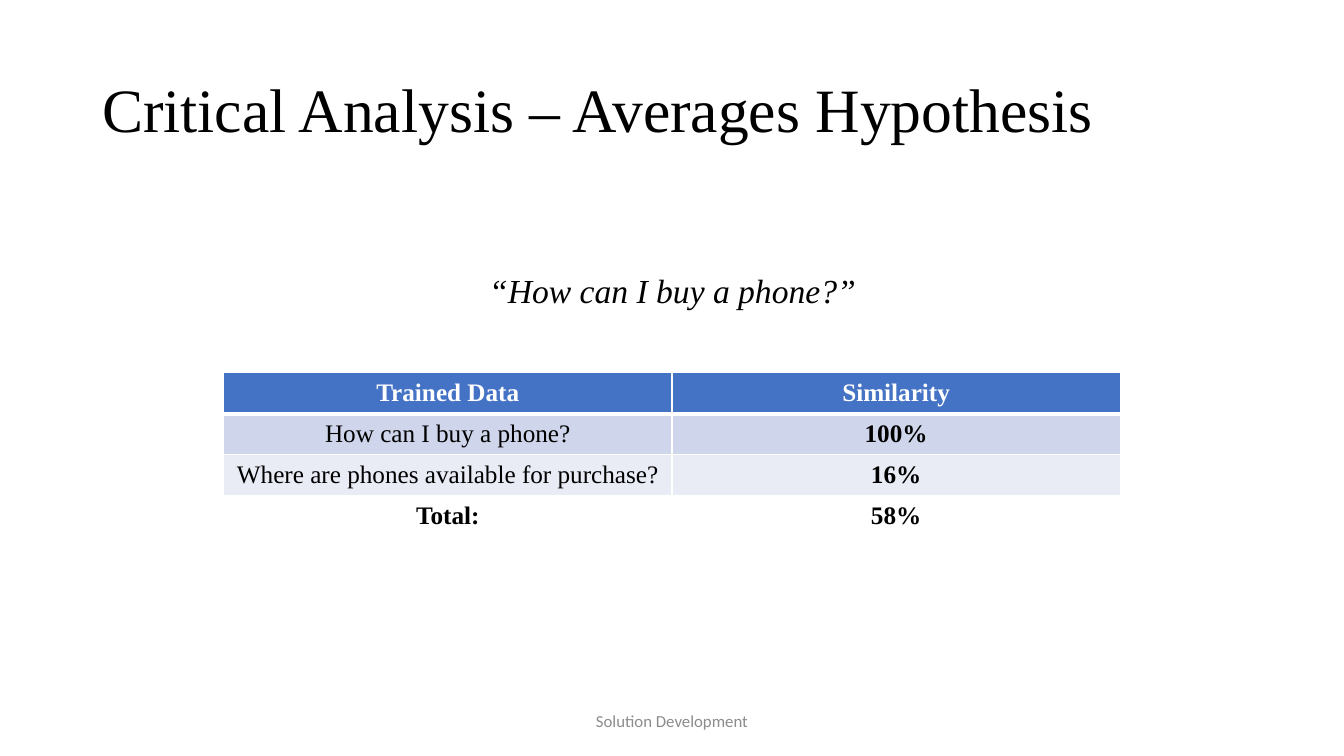
from dataclasses import dataclass
from typing import Any

from lxml.etree import SubElement as Sub
from pptx import Presentation
from pptx.dml.color import RGBColor as Rgb
from pptx.enum.text import MSO_ANCHOR as Anchor, PP_ALIGN as Align
from pptx.oxml.ns import qn
from pptx.util import Pt

SCALE = 9525
COLORS = {
    "ink": "000000",
    "paper": "FFFFFF",
    "gray": "8C8C8C",
    "head": "4472C4",
    "dark": "CFD5EA",
    "light": "E9EBF5",
}
SERIF = "Times New Roman"


@dataclass
class Label:
    text: str
    box: tuple[int, int, int, int]
    font: dict[str, Any]
    color: str
    para: dict[str, Any]
    anchor: Anchor


@dataclass
class Row:
    cells: tuple[str, str]
    bold: tuple[bool, bool]
    color: str
    fill: str
    top: int
    base: int


LABELS = [
    Label("Critical Analysis – Averages Hypothesis", (88, 38, 1104, 139),
          {"name": SERIF, "size": Pt(44)}, "ink",
          {"alignment": Align.LEFT, "line_spacing": 0.9}, Anchor.MIDDLE),
    Label("Solution Development", (424, 667, 432, 38),
          {"name": "Calibri", "size": Pt(12)}, "gray",
          {"alignment": Align.CENTER}, Anchor.MIDDLE),
    Label("“How can I buy a phone?”", (388, 252, 505, 48),
          {"name": SERIF, "size": Pt(24), "italic": True}, "ink",
          {"alignment": Align.CENTER}, Anchor.TOP),
]
ROWS = [
    Row(("Trained Data", "Similarity"), (True, True), "paper", "head", 1, 3),
    Row(("How can I buy a phone?", "100%"), (False, True), "ink", "dark", 3, 1),
    Row(("Where are phones available for purchase?", "16%"), (False, True),
        "ink", "light", 1, 1),
    Row(("Total:", "58%"), (True, True), "ink", "paper", 1, 1),
]
LEFT, TOP, WIDE, HIGH = 213, 355, 427, 39


def px(count: int) -> int:
    return count * SCALE


def apply(item: Any, values: dict[str, Any]) -> None:
    for name, value in values.items():
        setattr(item, name, value)


def write(frame: Any, text: str, font: dict[str, Any], color: str,
          para: dict[str, Any]) -> None:
    line = frame.paragraphs[0]
    apply(line, para)
    run = line.add_run()
    run.text = text
    apply(run.font, font)
    run.font.color.rgb = Rgb.from_string(COLORS[color])


def draw_label(slide: Any, label: Label) -> None:
    frame = slide.shapes.add_textbox(*map(px, label.box)).text_frame
    apply(frame, {"word_wrap": True, "vertical_anchor": label.anchor})
    write(frame, label.text, label.font, label.color, label.para)


def draw_edges(cell: Any, row: Row) -> None:
    props = cell._tc.get_or_add_tcPr()
    for side, width in {"L": 1, "R": 1, "T": row.top, "B": row.base}.items():
        edge = Sub(props, qn(f"a:ln{side}"), w=str(Pt(width)))
        fill = Sub(edge, qn("a:solidFill"))
        Sub(fill, qn("a:srgbClr"), val=COLORS["paper"])


def draw_table(slide: Any, rows: list[Row]) -> None:
    cols = len(rows[0].cells)
    box = (LEFT, TOP, WIDE * cols, HIGH * len(rows))
    table = slide.shapes.add_table(len(rows), cols, *map(px, box)).table
    for r, row in enumerate(rows):
        for c, (text, bold) in enumerate(zip(row.cells, row.bold)):
            cell = table.cell(r, c)
            cell.vertical_anchor = Anchor.MIDDLE
            draw_edges(cell, row)
            cell.fill.solid()
            cell.fill.fore_color.rgb = Rgb.from_string(COLORS[row.fill])
            font = {"name": SERIF, "size": Pt(18), "bold": bold}
            write(cell.text_frame, text, font, row.color,
                  {"alignment": Align.CENTER})


def main() -> None:
    deck = Presentation()
    apply(deck, {"slide_width": px(1280), "slide_height": px(720)})
    slide = deck.slides.add_slide(deck.slide_layouts[6])
    for label in LABELS:
        draw_label(slide, label)
    draw_table(slide, ROWS)
    deck.save("out.pptx")


if __name__ == "__main__":
    main()
